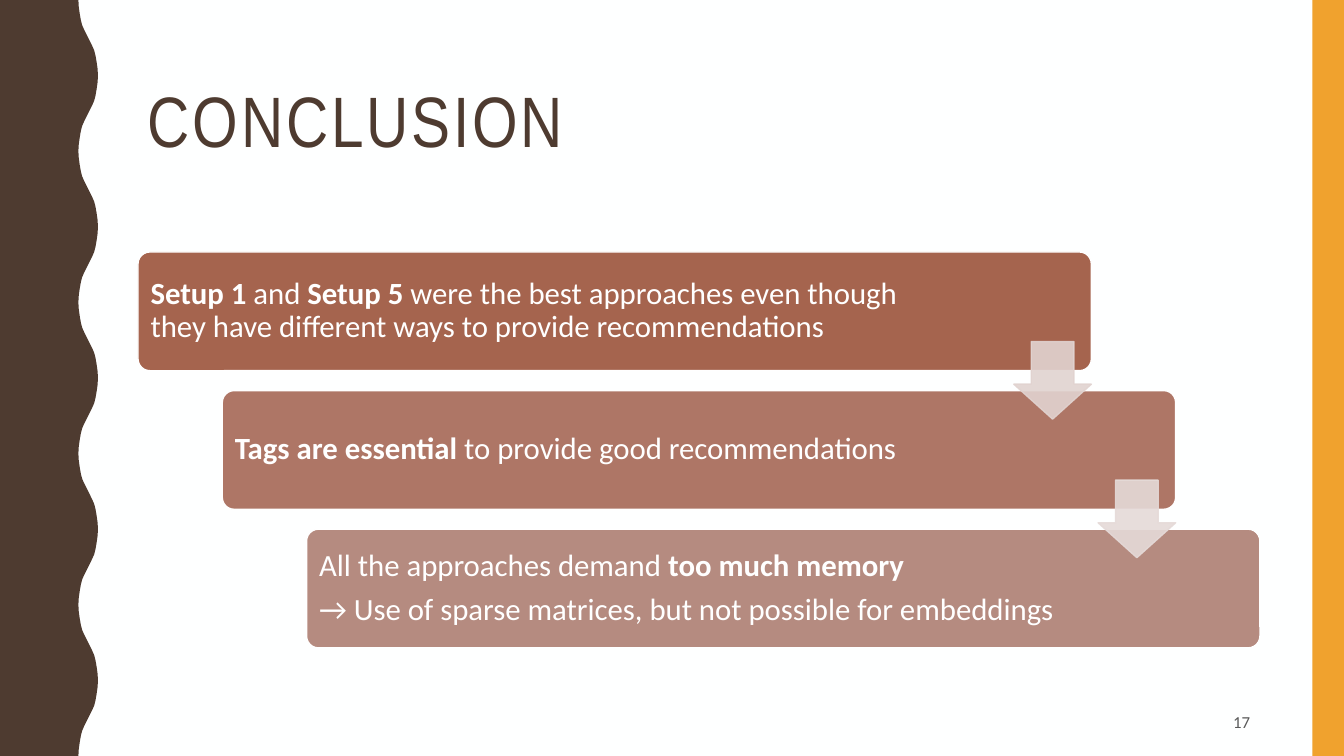
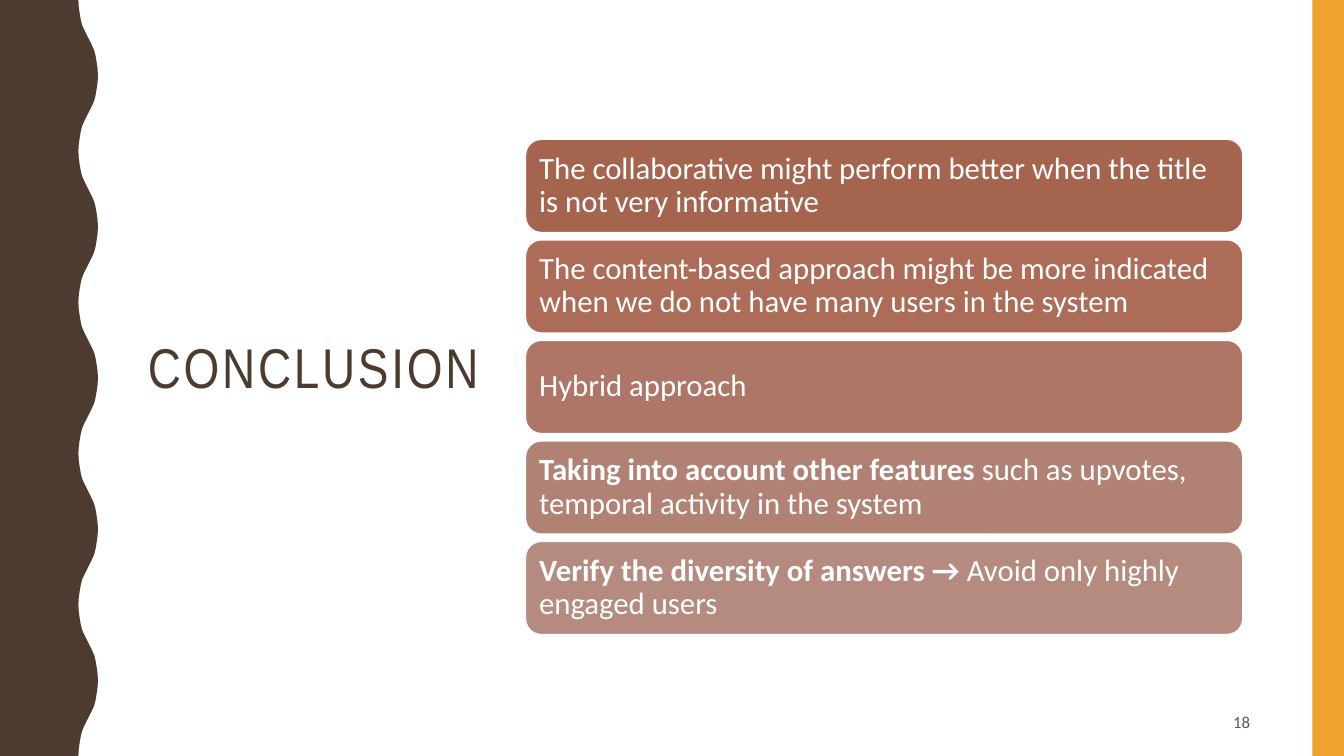
from lxml.etree import SubElement
from pptx import Presentation
from pptx.dml.color import RGBColor
from pptx.enum.shapes import MSO_SHAPE as Preset
from pptx.enum.text import MSO_ANCHOR as Anchor, PP_ALIGN as Align
from pptx.oxml.ns import qn
from pptx.util import Pt

# Shared style
COLORS = {
    "background": "FEFFFF",
    "brown": "4E3B30",
    "orange": "F0A22E",
    "page": "595959",
    "white": "FFFFFF",
    "shade1": "A5644E",
    "shade2": "AC6C58",
    "shade3": "AE7666",
    "shade4": "B18173",
    "shade5": "B58B80",
    "arrow1": "E1D3D0",
    "arrow2": "E5DAD8",
}
TITLE_FONT, BODY_FONT = "Arial Narrow", "Calibri"
SLIDE_W, SLIDE_H = 960, 540
LEFT = 98.6

# First quarter of a wave, as (x, y); the second one is its reflection
WAVE_COUNT, WAVE_PERIOD = 5, 108
QUARTER = [(56, 0), (56.3, 5), (57, 10), (57.8, 14.5), (58.7, 18), (60, 21), (61.5, 24)]
HALF = QUARTER + [(63, 27)] + [(126 - x, 54 - y) for x, y in reversed(QUARTER)]
WAVE = HALF + [(x, WAVE_PERIOD - y) for x, y in reversed(HALF[:-1])]


def rgb(name):
    return RGBColor.from_string(COLORS[name])


def paint(shape, fill, line=None):
    shape.shadow.inherit = False
    shape.fill.solid()
    shape.fill.fore_color.rgb = rgb(fill)
    if line:
        shape.line.color.rgb = rgb(line)
        shape.line.width = Pt(1)
    else:
        shape.line.fill.background()


def add_preset(slide, preset, left, top, width, height, fill, line=None):
    shape = slide.shapes.add_shape(preset, Pt(left), Pt(top), Pt(width), Pt(height))
    paint(shape, fill, line)
    return shape


def style_run(run, font, size, color, bold=False):
    run.font.name, run.font.size, run.font.bold = font, Pt(size), bold
    run.font.color.rgb = rgb(color)


def add_label(slide, text, left, top, width, height, font, size, color):
    """Add a one-line text box, centred vertically, and return its paragraph."""
    frame = slide.shapes.add_textbox(Pt(left), Pt(top), Pt(width), Pt(height)).text_frame
    frame.word_wrap = True
    frame.vertical_anchor = Anchor.MIDDLE
    frame.text = text
    line = frame.paragraphs[0]
    style_run(line.runs[0], font, size, color)
    return line


# Side bands, title and page number
def add_bands(slide):
    edge = [(x, y + wave * WAVE_PERIOD) for wave in range(WAVE_COUNT) for x, y in WAVE]
    builder = slide.shapes.build_freeform(0, 0)
    builder.add_line_segments([(Pt(x), Pt(y)) for x, y in edge + [(0, SLIDE_H)]])
    paint(builder.convert_to_shape(), "brown")
    add_preset(slide, Preset.RECTANGLE, 937.5, 0, 22.5, SLIDE_H, "orange")


def add_title(slide, text, top, width, height, size):
    line = add_label(slide, text, LEFT, top, width, height, TITLE_FONT, size, "brown")
    line.line_spacing = 0.9
    line.runs[0]._r.get_or_add_rPr().set("spc", "200")


def add_page_number(slide, number):
    line = add_label(slide, str(number), 678, 502, 222, 27, BODY_FONT, 12, "page")
    line.alignment = Align.RIGHT
    line.space_after = Pt(6)


def new_slide(deck, number):
    slide = deck.slides.add_slide(deck.slide_layouts[6])
    add_bands(slide)
    add_page_number(slide, number)
    return slide


# Rounded cards and arrows
def add_card(slide, lines, left, top, width, height, fill, corner, right_inset=6.5):
    """Add a card; text between ** marks is bold."""
    card = add_preset(slide, Preset.ROUNDED_RECTANGLE, left, top, width, height, fill, "white")
    card.adjustments[0] = corner
    frame = card.text_frame
    frame.word_wrap = True
    frame.vertical_anchor = Anchor.MIDDLE
    frame.margin_left, frame.margin_right = Pt(6.5), Pt(right_inset)
    frame.text = "\n".join([""] * len(lines))
    for paragraph, line in zip(frame.paragraphs, lines):
        paragraph.alignment = Align.LEFT
        paragraph.line_spacing = 0.9
        paragraph.space_after = Pt(7.7)
        for index, part in enumerate(line.split("**")):
            if part:
                run = paragraph.add_run()
                run.text = part
                style_run(run, BODY_FONT, 22, "white", bold=index % 2 == 1)


def add_step_arrow(slide, left, top, size, color):
    arrow = add_preset(slide, Preset.DOWN_ARROW, left, top, size, size, color, color)
    arrow.adjustments[0], arrow.adjustments[1] = 0.55, 0.45
    for solid_color in arrow._element.spPr.iter(qn("a:srgbClr")):
        SubElement(solid_color, qn("a:alpha")).set("val", "90000")


# Slides
def add_findings(deck):
    slide = new_slide(deck, 17)
    add_title(slide, "CONCLUSION", 30, 801, 117.5, 51)
    findings = [
        ("shade1", ["**Setup 1** and **Setup 5 **were the best approaches even though "
                    "they have different ways to provide recommendations"]),
        ("shade3", ["**Tags are essential **to provide good recommendations"]),
        ("shade5", ["All the approaches demand **too much memory**",
                    "→ Use of sparse matrices, but not possible for embeddings"]),
    ]
    top, width, height, step_x, step_y, arrow_size = 180, 681, 84.8, 60.2, 99, 55.4
    for index, (fill, lines) in enumerate(findings):
        add_card(slide, lines, LEFT + index * step_x, top + index * step_y,
                 width, height, fill, 0.1, right_inset=117)
    for index, color in enumerate(["arrow1", "arrow2"]):
        add_step_arrow(slide, LEFT + width - arrow_size + index * step_x,
                       top + 64 + index * step_y, arrow_size, color)


def add_outlook(deck):
    slide = new_slide(deck, 18)
    add_title(slide, "CONCLUSION", 51, 266.5, 427, 40)
    ideas = [
        "The collaborative might perform better when the title is not very informative",
        "The content-based approach might be more indicated "
        "when we do not have many users in the system",
        "Hybrid approach",
        "**Taking into account other features** such as upvotes, "
        "temporal activity in the system",
        "**Verify the diversity of answers → **Avoid only highly engaged users",
    ]
    for index, idea in enumerate(ideas):
        add_card(slide, [idea], 375.4, 99.5 + index * 71.8, 512.4, 66.6,
                 f"shade{index + 1}", 0.17)


def main():
    deck = Presentation()
    deck.slide_width, deck.slide_height = Pt(SLIDE_W), Pt(SLIDE_H)
    backdrop = deck.slide_master.background.fill
    backdrop.solid()
    backdrop.fore_color.rgb = rgb("background")
    add_findings(deck)
    add_outlook(deck)
    deck.save("out.pptx")


if __name__ == "__main__":
    main()
